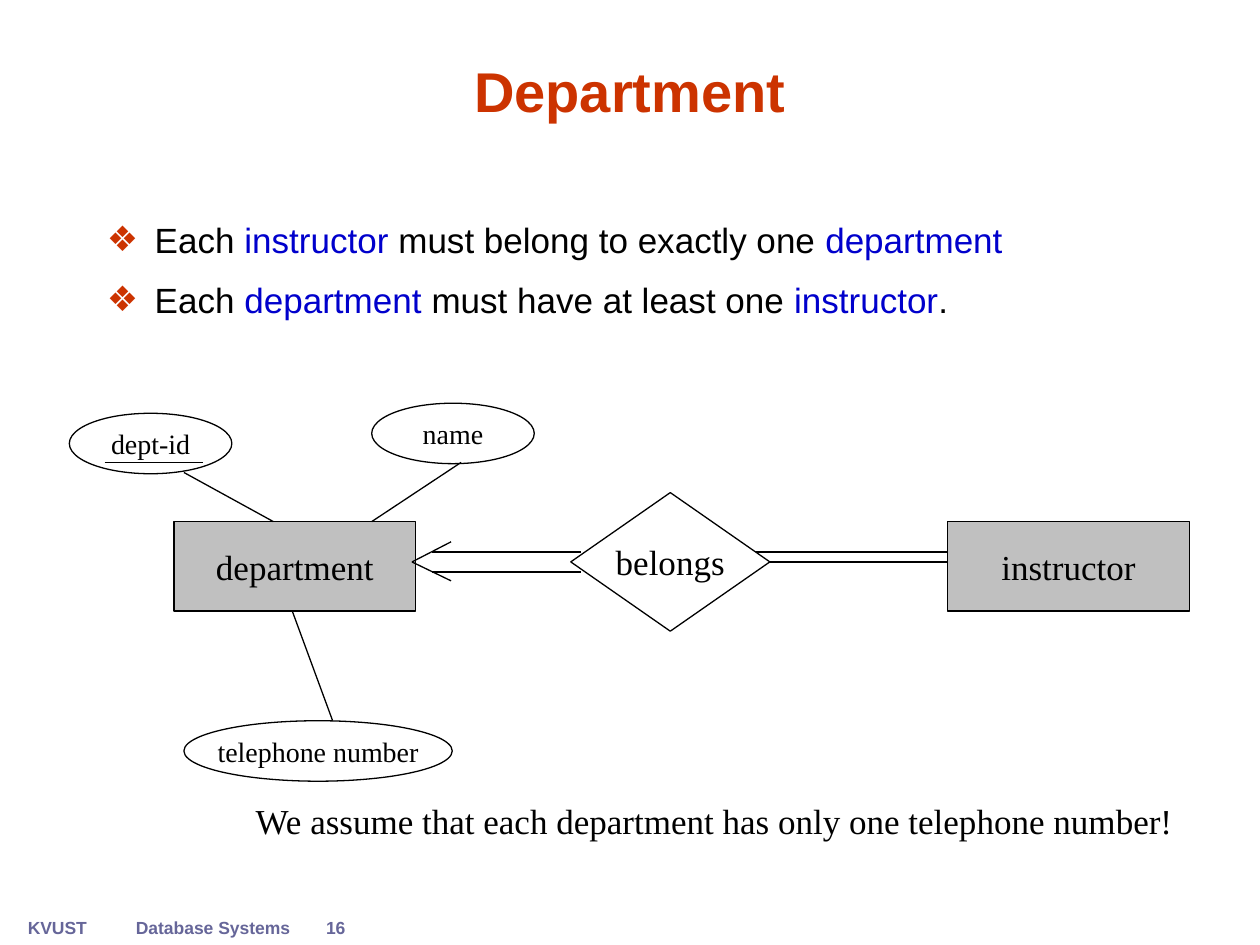
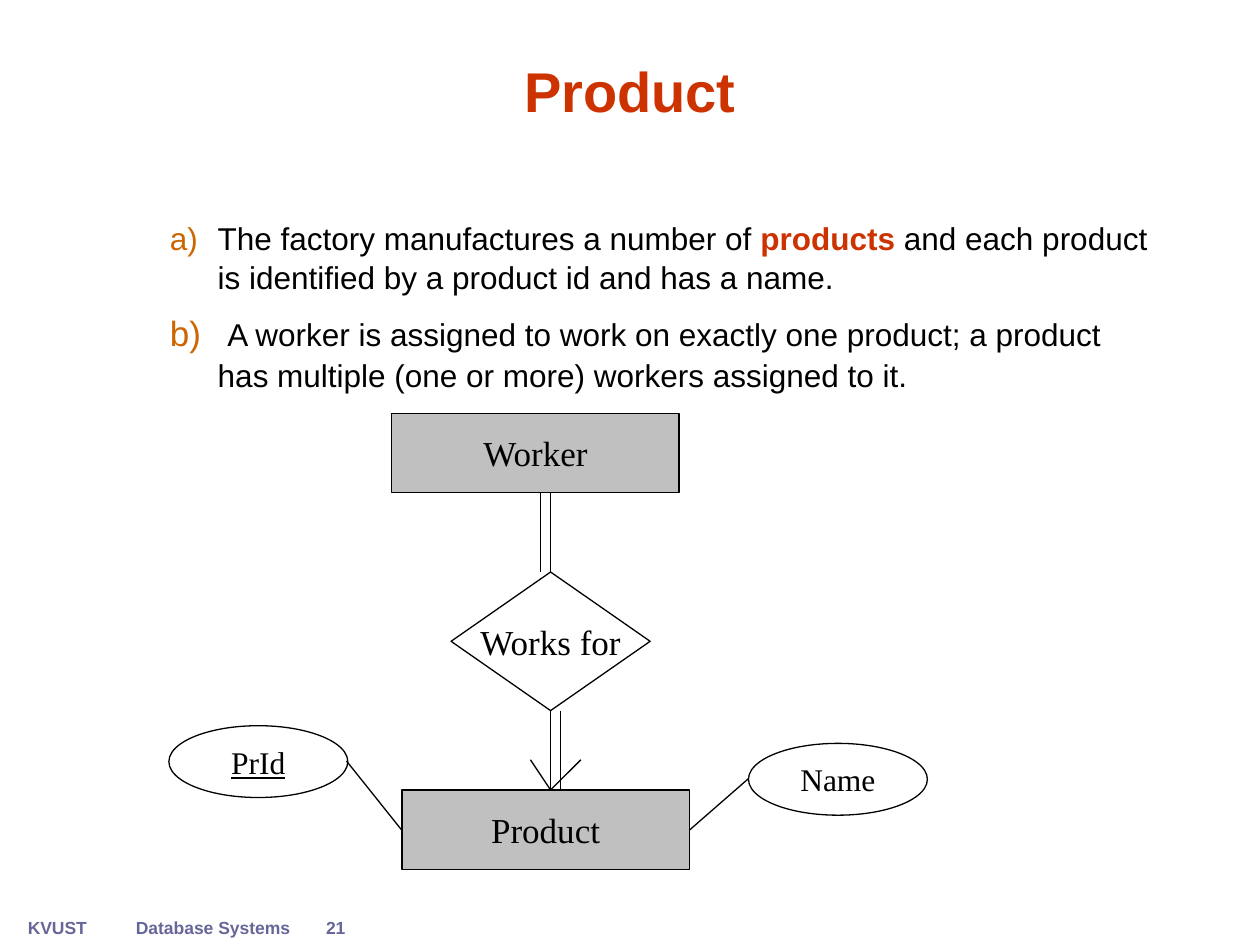
import dataclasses
import typing

import lxml.etree
import pptx
import pptx.dml.color
import pptx.enum.shapes
import pptx.enum.text
import pptx.oxml.ns
import pptx.util

SHAPES = pptx.enum.shapes.MSO_SHAPE
ALIGN = pptx.enum.text.PP_ALIGN
ANCHOR = pptx.enum.text.MSO_ANCHOR
COLUMNS, ROWS = 100, 75
WIDTH, HEIGHT = pptx.util.Inches(10), pptx.util.Inches(7.5)


@dataclasses.dataclass(frozen=True)
class Theme:
    sans: str = "Arial"
    serif: str = "Times New Roman"
    ink: str = "000000"
    paper: str = "FFFFFF"
    entity: str = "C0C0C0"
    accent: str = "CC3300"
    numbering: str = "CC6600"
    term: str = "0000CC"
    footer: str = "666699"
    title_size: int = 32
    text_size: int = 20
    list_size: int = 18
    attribute_size: int = 16
    footer_size: int = 10
    line_width: float = 0.75
    line_spacing: float = 1.05
    space_share: float = 0.44


THEME = Theme()


class Box(typing.NamedTuple):
    column: float
    row: float
    columns: float
    rows: float


class Point(typing.NamedTuple):
    column: float
    row: float


class Span(typing.NamedTuple):
    text: str
    size: float = THEME.text_size
    color: str = THEME.ink
    bold: bool = False
    font: str = THEME.sans
    underline: bool = False


@dataclasses.dataclass(frozen=True)
class Node:
    kind: pptx.enum.shapes.MSO_SHAPE
    box: Box
    label: Span
    fill: str = THEME.paper


class Link(typing.NamedTuple):
    start: Point
    end: Point


class Bullets(typing.NamedTuple):
    kind: str
    attribute: str
    value: str
    color: str
    indent: float


DIAMONDS = Bullets("buChar", "char", "❖", THEME.accent, 0.38)
LETTERS = Bullets("buAutoNum", "type", "alphaLcParenR", THEME.numbering, 0.88)
HANGING = 0.38


@dataclasses.dataclass(frozen=True)
class Page:
    title: str
    number: str
    body: Box
    bullets: Bullets
    statements: list[list[Span]]
    diagram: list[Node | Link]
    note: str = ""


def across(column: float) -> int:
    return round(WIDTH * column / COLUMNS)


def down(row: float) -> int:
    return round(HEIGHT * row / ROWS)


def place(box: Box) -> tuple[int, int, int, int]:
    return across(box.column), down(box.row), across(box.columns), down(box.rows)


def rgb(color: str) -> pptx.dml.color.RGBColor:
    return pptx.dml.color.RGBColor.from_string(color)


def style_run(run, span: Span) -> None:
    run.font.name = span.font
    run.font.size = pptx.util.Pt(span.size)
    run.font.bold = span.bold
    run.font.underline = span.underline
    run.font.color.rgb = rgb(span.color)


def write(frame, span: Span, align=ALIGN.CENTER, anchor=ANCHOR.TOP) -> None:
    frame.text = span.text
    frame.word_wrap = False
    frame.vertical_anchor = anchor
    frame.paragraphs[0].alignment = align
    style_run(frame.paragraphs[0].runs[0], span)


def draw_text(slide, box: Box, span: Span, align=ALIGN.CENTER, anchor=ANCHOR.TOP) -> None:
    write(slide.shapes.add_textbox(*place(box)).text_frame, span, align, anchor)


def add_bullet(paragraph, bullets: Bullets) -> None:
    qn = pptx.oxml.ns.qn
    properties = paragraph._p.get_or_add_pPr()
    properties.set("marL", str(pptx.util.Inches(bullets.indent)))
    properties.set("indent", str(pptx.util.Inches(-HANGING)))
    color = lxml.etree.SubElement(properties, qn("a:buClr"))
    lxml.etree.SubElement(color, qn("a:srgbClr"), val=bullets.color)
    lxml.etree.SubElement(properties, qn("a:buFont"), typeface=THEME.sans)
    mark = lxml.etree.SubElement(properties, qn(f"a:{bullets.kind}"))
    mark.set(bullets.attribute, bullets.value)


def draw_statements(slide, page: Page) -> None:
    frame = slide.shapes.add_textbox(*place(page.body)).text_frame
    frame.word_wrap = True
    for index, spans in enumerate(page.statements):
        paragraph = frame.add_paragraph() if index else frame.paragraphs[0]
        paragraph.line_spacing = THEME.line_spacing
        paragraph.space_before = pptx.util.Pt(spans[-1].size * THEME.space_share)
        add_bullet(paragraph, page.bullets)
        for span in spans:
            run = paragraph.add_run()
            run.text = span.text
            style_run(run, span)


def style_line(line) -> None:
    line.color.rgb = rgb(THEME.ink)
    line.width = pptx.util.Pt(THEME.line_width)


def draw_node(slide, node: Node) -> None:
    shape = slide.shapes.add_shape(node.kind, *place(node.box))
    shape.shadow.inherit = False
    shape.fill.solid()
    shape.fill.fore_color.rgb = rgb(node.fill)
    style_line(shape.line)
    write(shape.text_frame, node.label, anchor=ANCHOR.MIDDLE)


def draw_link(slide, link: Link) -> None:
    connector = slide.shapes.add_connector(
        pptx.enum.shapes.MSO_CONNECTOR.STRAIGHT,
        across(link.start.column), down(link.start.row),
        across(link.end.column), down(link.end.row))
    style_line(connector.line)
    lxml.etree.SubElement(connector._element.spPr, pptx.oxml.ns.qn("a:effectLst"))


def entity(text: str, box: Box, kind=SHAPES.RECTANGLE) -> Node:
    return Node(kind, box, Span(text, font=THEME.serif), THEME.entity)


def relationship(text: str, column: float, row: float) -> Node:
    return Node(SHAPES.FLOWCHART_DECISION, Box(column, row, 15.8, 11),
                Span(text, font=THEME.serif))


def attribute(text: str, box: Box, size: float = THEME.attribute_size,
              key: bool = False) -> Node:
    return Node(SHAPES.OVAL, box, Span(text, size, font=THEME.serif, underline=key))


def double_link(start: Point, end: Point, aside: float = 0, below: float = 0) -> list[Link]:
    return [Link(start, end),
            Link(Point(start.column + aside, start.row + below),
                 Point(end.column + aside, end.row + below))]


def arrowhead(tip: Point, *wings: Point) -> list[Link]:
    return [Link(wing, tip) for wing in wings]


def term(text: str) -> Span:
    return Span(text, color=THEME.term)


def listed(text: str) -> Span:
    return Span(text, THEME.list_size)


PAGES = [
    Page(
        "Department", "16", Box(7.5, 16.7, 85, 45), DIAMONDS,
        [[Span("Each "), term("instructor"), Span(" must belong to exactly one "),
          term("department")],
         [Span("Each "), term("department"), Span(" must have at least one "),
          term("instructor"), Span(".")]],
        [
            entity("instructor", Box(75.2, 41.4, 19.2, 7.1), SHAPES.FLOWCHART_PROCESS),
            entity("department", Box(13.8, 41.4, 19.2, 7.1), SHAPES.FLOWCHART_PROCESS),
            *double_link(Point(75.2, 43.8), Point(59.5, 43.8), below=0.8),
            relationship("belongs", 45.3, 39.1),
            attribute("telephone number", Box(14.6, 57.2, 21.3, 4.8)),
            attribute("dept-id", Box(5.5, 32.8, 12.9, 4.8)),
            attribute("name", Box(29.5, 32, 12.9, 4.8)),
            Link(Point(14.6, 37.5), Point(21.7, 41.4)),
            Link(Point(36.6, 36.7), Point(29.5, 41.4)),
            Link(Point(23.2, 48.5), Point(26.4, 57.2)),
            Link(Point(8.3, 36.7), Point(16.1, 36.7)),
            *double_link(Point(34.3, 43.8), Point(46.1, 43.8), below=1.6),
            *arrowhead(Point(32.7, 44.6), Point(35.8, 43), Point(35.8, 46.1)),
        ],
        "We assume that each department has only one telephone number!"),
    Page(
        "Product", "21", Box(7.5, 16.7, 85, 16.1), LETTERS,
        [[listed("The factory manufactures a number of "),
          Span("products", THEME.list_size, THEME.accent, True),
          listed(" and each product is identified by a product id and has a name.")],
         [Span(" "),
          listed("A worker is assigned to work on exactly one product; a product "
                 "has multiple (one or more) workers assigned to it.")]],
        [
            entity("Worker", Box(31.1, 32.8, 22.8, 6.3)),
            *double_link(Point(42.9, 39.1), Point(42.9, 45.4), aside=0.8),
            relationship("Works for", 35.8, 45.4),
            entity("Product", Box(31.9, 62.7, 22.8, 6.3)),
            *double_link(Point(43.7, 56.4), Point(43.7, 62.7), aside=0.8),
            *arrowhead(Point(43.7, 62.7), Point(42.1, 60.3), Point(46.1, 60.3)),
            attribute("PrId", Box(13.4, 57.6, 14.2, 5.7), THEME.list_size, key=True),
            attribute("Name", Box(59.4, 59, 14.2, 5.7), THEME.list_size),
            Link(Point(31.9, 65.9), Point(27.5, 60.4)),
            Link(Point(54.7, 65.9), Point(59.4, 61.8)),
        ]),
]


def draw_frame(slide, page: Page) -> None:
    for text, column, columns, align in (
            ("KVUST", 1.2, 6.7, ALIGN.CENTER),
            (page.number, 22.3, 8.7, ALIGN.CENTER),
            ("Database Systems", 9.8, 14.2, ALIGN.LEFT)):
        draw_text(slide, Box(column, 72.3, columns, 2.7),
                  Span(text, THEME.footer_size, THEME.footer, True), align)
    draw_text(slide, Box(7.5, 0.5, 85, 9.8),
              Span(page.title, THEME.title_size, THEME.accent, True), anchor=ANCHOR.BOTTOM)


def draw_page(slide, page: Page) -> None:
    draw_frame(slide, page)
    draw_statements(slide, page)
    for part in page.diagram:
        if isinstance(part, Node):
            draw_node(slide, part)
        else:
            draw_link(slide, part)
    if page.note:
        draw_text(slide, Box(19.2, 63, 75, 4.4), Span(page.note, font=THEME.serif))


def main() -> None:
    deck = pptx.Presentation()
    deck.slide_width, deck.slide_height = WIDTH, HEIGHT
    for page in PAGES:
        draw_page(deck.slides.add_slide(deck.slide_layouts[6]), page)
    deck.save("out.pptx")


if __name__ == "__main__":
    main()
